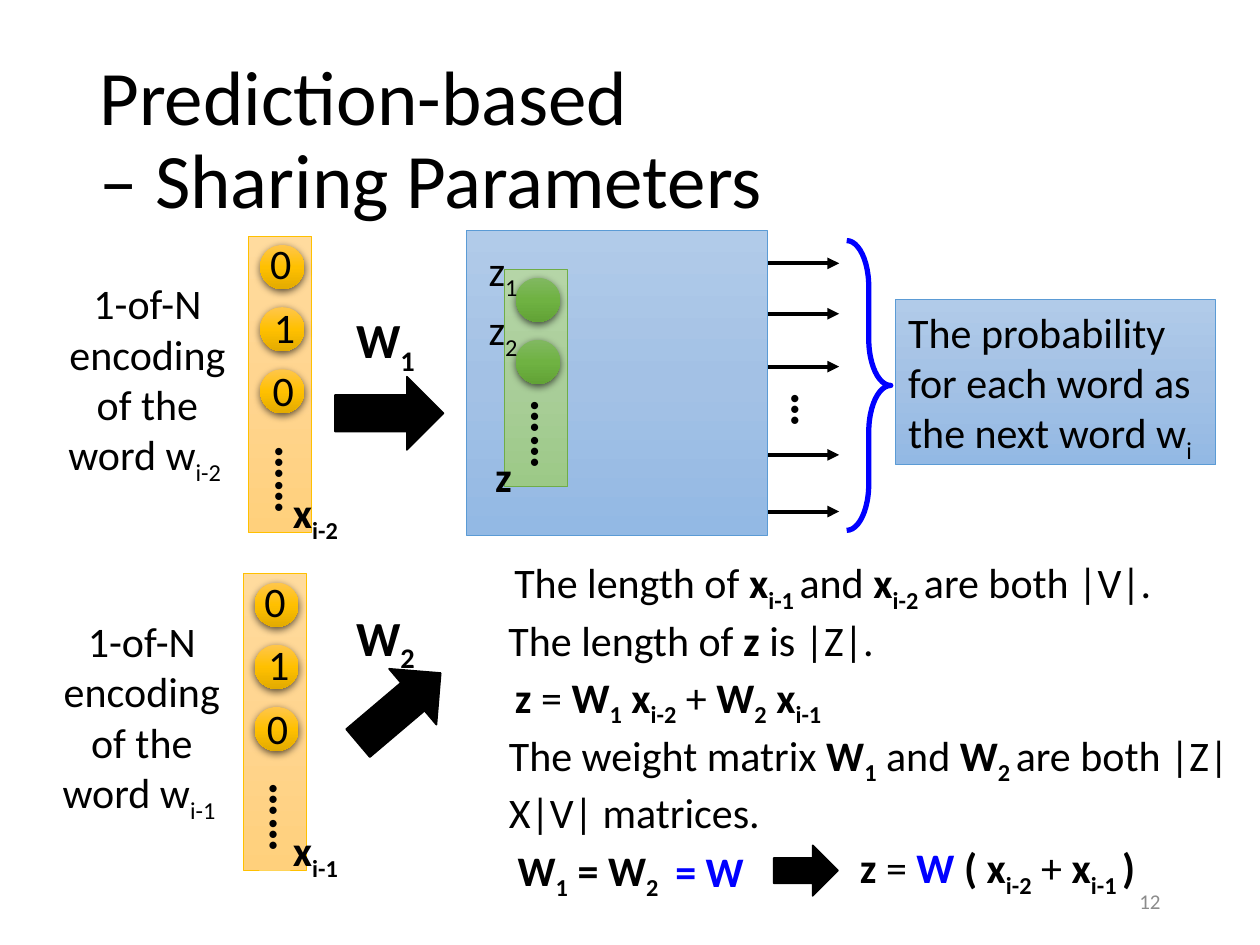
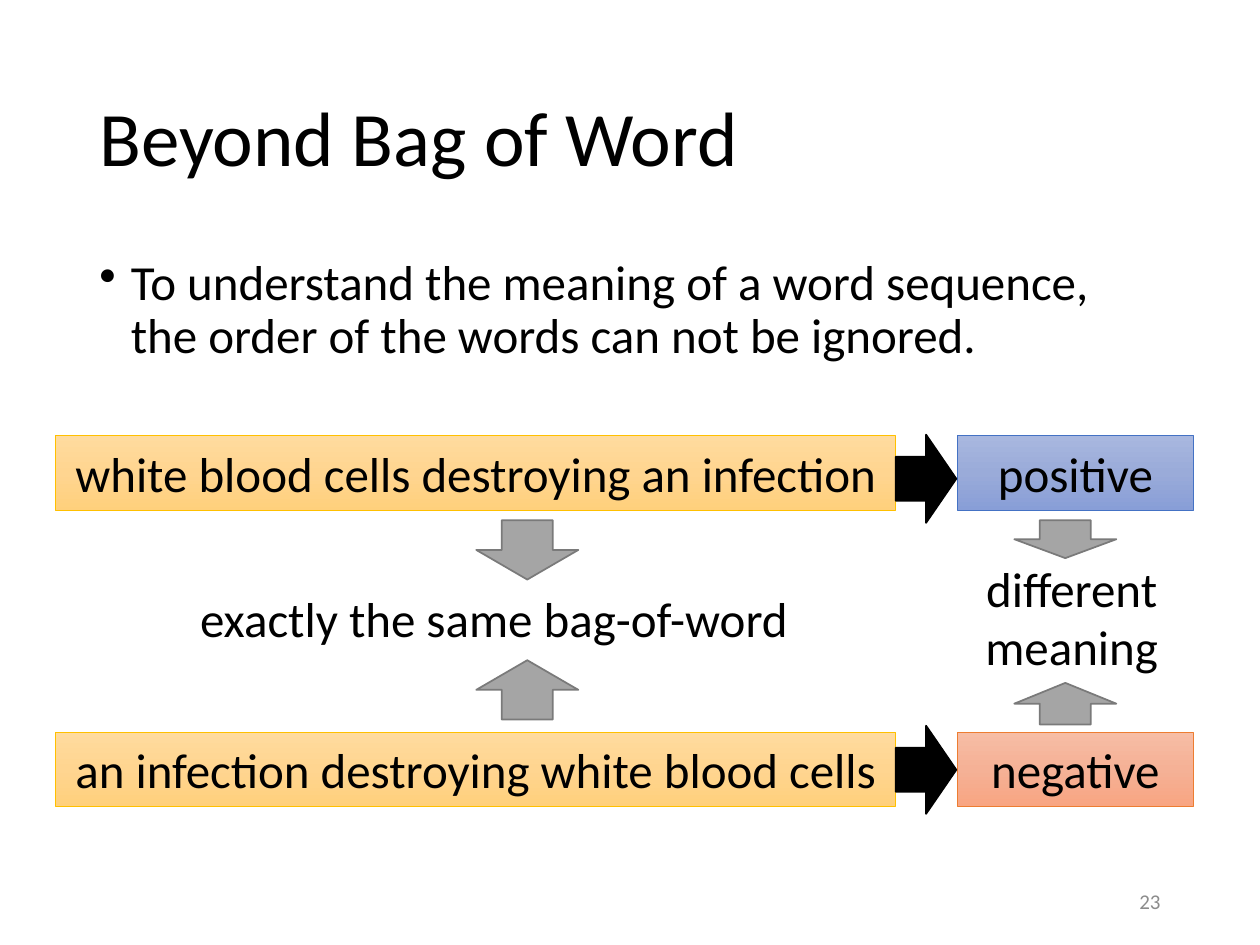
"""Build two slides on word prediction and word order."""
from copy import deepcopy
from lxml import etree
from pptx import Presentation
from pptx import util as u
from pptx.dml.color import RGBColor
from pptx.enum import shapes, text
from pptx.oxml import ns

HUE = {"ink": "000000", "blue": "0000FF", "page": "8C8C8C", "gray": "A5A5A5",
       "edge": "7A7A7A", "sky": "5B9BD5", "gold": "FFC000", "leaf": "70AD47",
       "navy": "4472C4", "rust": "ED7D31"}
FADE = {"sky": ("B1CBE9", "A3C1E5", "93B9E4"), "gold": ("FFDB9E", "FFD590", "FFD07C"),
        "leaf": ("B5D5A7", "AACE9A", "9CC987"), "navy": ("A8B7DF", "9AABD9", "889ED7"),
        "rust": ("F7BDA5", "F5B196", "F8A582"), "gold ball": ("FFC64B", "FFC000", "E3AB00"),
        "leaf ball": ("81B861", "6FB242", "62A336")}
FONT = "Calibri"
KIND = shapes.MSO_SHAPE
LEFT, MID, RIGHT = text.PP_ALIGN.LEFT, text.PP_ALIGN.CENTER, text.PP_ALIGN.RIGHT

deck = Presentation()
deck.slide_width, deck.slide_height = u.Inches(10), u.Inches(7.5)
COL, ROW = deck.slide_width / 100, deck.slide_height / 75


def put(page, x, y, w, h, kind=None, fill=None, line=None, width=0.5):
    """Place a shape, or a text box when no kind is given, on the grid."""
    area = [round(n) for n in (x * COL, y * ROW, w * COL, h * ROW)]
    if kind is None:
        return page.shapes.add_textbox(*area)
    item = page.shapes.add_shape(kind, *area)
    item.shadow.inherit = False
    if fill in FADE:
        item.fill.gradient()
        item.fill.gradient_angle = 270
        stops = item.element.spPr.find(".//" + ns.qn("a:gsLst"))
        stops.insert(1, deepcopy(stops[0]))
        stops[1].set("pos", "50000")
        for stop, tone in zip(item.fill.gradient_stops, FADE[fill]):
            stop.color.rgb = RGBColor.from_string(tone)
    elif fill:
        item.fill.solid()
        item.fill.fore_color.rgb = RGBColor.from_string(HUE[fill])
    else:
        item.fill.background()
    if line:
        item.line.color.rgb = RGBColor.from_string(HUE[line])
        item.line.width = u.Pt(width)
    else:
        item.line.fill.background()
    return item


def say(item, *paras, size=24, align=MID, hue="ink", bold=False, mid=False):
    """Write paragraphs of plain text or (text, style) runs: b bold, s subscript, B blue."""
    frame = item.text_frame
    frame.word_wrap = True
    frame.auto_size = text.MSO_AUTO_SIZE.NONE if mid else text.MSO_AUTO_SIZE.SHAPE_TO_FIT_TEXT
    frame.vertical_anchor = text.MSO_ANCHOR.MIDDLE if mid else text.MSO_ANCHOR.TOP
    for n, para in enumerate(paras):
        p = frame.add_paragraph() if n else frame.paragraphs[0]
        p.alignment = align
        p.font.name, p.font.size, p.font.bold = FONT, u.Pt(size), bold
        p.font.color.rgb = RGBColor.from_string(HUE[hue])
        if isinstance(para, str):
            p.text = para
            continue
        for words, style in para:
            run = p.add_run()
            run.text = words
            if "b" in style:
                run.font.bold = True
            if "B" in style:
                run.font.color.rgb = RGBColor.from_string(HUE["blue"])
            if "s" in style:
                run.font._element.set("baseline", "-25000")
    return frame.paragraphs[0]


pages = []
for title, number in (("Prediction-based \v– Sharing Parameters", "12"),
                      ("Beyond Bag of Word", "23")):
    page = deck.slides.add_slide(deck.slide_layouts[6])
    head = say(put(page, 6.9, 4, 86.2, 14.5), title, size=44, align=LEFT, mid=True)
    head.line_spacing = 0.9
    say(put(page, 70.6, 69.5, 22.5, 4), number, size=12, align=RIGHT, hue="page", mid=True)
    pages.append(page)
share, order = pages

brace = put(share, 67.2, 19.1, 3.5, 23, KIND.RIGHT_BRACE, line="blue", width=3)
brace.adjustments[0] = 1.05
for y in (20.9, 24.9, 29.1, 36.1, 40.6):
    ends = [round(n) for n in (58.3 * COL, y * ROW, 66.6 * COL, y * ROW)]
    wire = share.shapes.add_connector(shapes.MSO_CONNECTOR.STRAIGHT, *ends)
    wire.line.color.rgb = RGBColor.from_string(HUE["ink"])
    wire.line.width = u.Pt(2.25)
    etree.SubElement(wire.line._get_or_add_ln(), ns.qn("a:tailEnd"), type="triangle")
    etree.SubElement(wire._element.spPr, ns.qn("a:effectLst"))
dots = put(share, 61.5, 30.2, 5.7, 5.7)
dots.rotation = 90
say(dots, "…", size=28, align=LEFT, bold=True)
put(share, 37, 18.3, 23.9, 24.2, KIND.RECTANGLE, "sky", "sky")

for x, y, high, hue, count in ((19.75, 18.75, 23.5, "gold", 3),
                               (19.3, 45.55, 23.5, "gold", 3),
                               (40.05, 21.35, 17.3, "leaf", 2)):
    put(share, x, y, 5, high, KIND.RECTANGLE, hue, hue)
    for n in range(count):
        ball = put(share, x + 0.9, y + 0.7 + 4.93 * n, 3.5, 3.5, KIND.OVAL, hue + " ball")
        glow = etree.SubElement(ball.element.spPr.find(ns.qn("a:effectLst")),
                                ns.qn("a:outerShdw"), blurRad="57150", dist="19050",
                                dir="5400000", algn="ctr", rotWithShape="0")
        tint = etree.SubElement(glow, ns.qn("a:srgbClr"), val=HUE["ink"])
        etree.SubElement(tint, ns.qn("a:alpha"), val="63000")
    dots = put(share, x, y + high - 5.1, 9.3, 3.7)
    dots.rotation = 90
    say(dots, "……", size=28, align=LEFT, bold=True)

for x, y, sub in ((19.75, 18.75, "i-2 "), (19.3, 45.55, "i-1 ")):
    say(put(share, x - 16.6, y + 2.8, 17.1, 17.2), "1-of-N encoding",
        [("of the word w", ""), (sub, "s")])
    for n, (digit, dx) in enumerate((("0", 0.7), ("1", 1), ("0", 0.9))):
        say(put(share, x + dx, y - 0.4 + 5.05 * n, 4.3, 5), digit, align=LEFT)
    say(put(share, 21.5, y + 19.4, 7.5, 5), [("x", "b"), (sub, "bs")])

say(put(share, 71.1, 23.8, 25.4, 13.1, KIND.RECTANGLE, "sky", "sky"),
    [("The probability for each word as the next word w", ""), ("i", "s")], align=LEFT)
for y, sub in ((18.9, "1"), (23.6, "2")):
    say(put(share, 37.8, y, 6, 5), [("z", ""), (sub, "s")], align=LEFT)
say(put(share, 36.2, 35.3, 7.5, 5), "z", bold=True)

for x, y, w, h, turn in ((26.6, 29.9, 8.6, 5.8, 0), (27.4, 53.3, 8.6, 5.8, 319.7),
                         (61.4, 67.1, 5.1, 4, 0)):
    put(share, x, y, w, h, KIND.RIGHT_ARROW, "ink", "ink", 1).rotation = turn
for y, sub in ((24.1, "1 "), (47.7, "2 ")):
    say(put(share, 27.1, y, 7.5, 5.7), [("W", "b"), (sub, "bs")], size=28)

for x, y, w, h, align, runs in (
        (38.9, 43.7, 54.4, 5, MID,
         [("The length of ", ""), ("x", "b"), ("i-1 ", "bs"), ("and", ""), (" x", "b"),
          ("i-2 ", "bs"), ("are both |V|.", "")]),
        (38.7, 48.3, 32.3, 5, MID, [("The length of ", ""), ("z ", "b"), ("is |Z|.", "")]),
        (37.1, 52.8, 32.3, 5, MID,
         [("z ", "b"), ("= ", ""), ("W", "b"), ("1", "bs"), (" x", "b"), ("i-2", "bs"),
          (" +", ""), (" W", "b"), ("2", "bs"), (" x", "b"), ("i-1 ", "bs")]),
        (39.4, 57.4, 59.7, 9.1, LEFT,
         [("The weight matrix ", ""), ("W", "b"), ("1", "bs"), (" and ", ""), ("W", "b"),
          ("2 ", "bs"), ("are both |Z|X|V| matrices.", "")]),
        (38.2, 66.5, 16.5, 5, MID,
         [(" ", "bs"), ("W", "b"), ("1", "bs"), (" = W", "b"), ("2", "bs")]),
        (51.3, 66.6, 9.6, 5, MID, [(" ", "bsB"), ("= W", "bB")]),
        (63.4, 66.3, 32.3, 5, MID,
         [("z ", "b"), ("= ", ""), ("W ", "bB"), ("( x", "b"), ("i-2", "bs"), (" +", ""),
          (" x", "b"), ("i-1 ", "bs"), (") ", "b")])):
    say(put(share, x, y, w, h), runs, align=align)

point = say(put(order, 6.9, 20, 86.2, 11), "To understand the meaning of a word sequence, "
            "the order of the words can not be ignored.", size=28, align=LEFT)
point.line_spacing, point.space_before = 0.9, u.Pt(10)
props = point._p.get_or_add_pPr()
props.set("marL", "228600")
props.set("indent", "-228600")
mark = etree.Element(ns.qn("a:buChar"), char="•")
props.find(ns.qn("a:defRPr")).addprevious(mark)

for y, tip, words, mood, hue in (
        (34.6, 34.5, "white blood cells destroying an infection", "positive", "navy"),
        (58.1, 57.6, "an infection destroying white blood cells", "negative", "rust")):
    for x, w, label, tone in ((4.4, 66.7, words, "gold"), (76, 18.7, mood, hue)):
        say(put(order, x, y, w, 5.9, KIND.RECTANGLE, tone, tone), label, size=28, mid=True)
    put(order, 71.1, tip, 4.8, 7, KIND.RIGHT_ARROW, "ink", "ink", 1)

say(put(order, 14.7, 46.2, 49, 5.7), "exactly the same bag-of-word", size=28)
say(put(order, 74.5, 43.8, 21.1, 10.4), "different", "meaning", size=28)
for x, y, h, kind in ((37.8, 41.3, 4.7, KIND.DOWN_ARROW), (37.8, 52.4, 4.7, KIND.UP_ARROW),
                      (80.5, 41.3, 3, KIND.DOWN_ARROW), (80.5, 54.2, 3.3, KIND.UP_ARROW)):
    put(order, x, y, 8.1, h, kind, "gray", "edge", 1)

deck.save("out.pptx")
